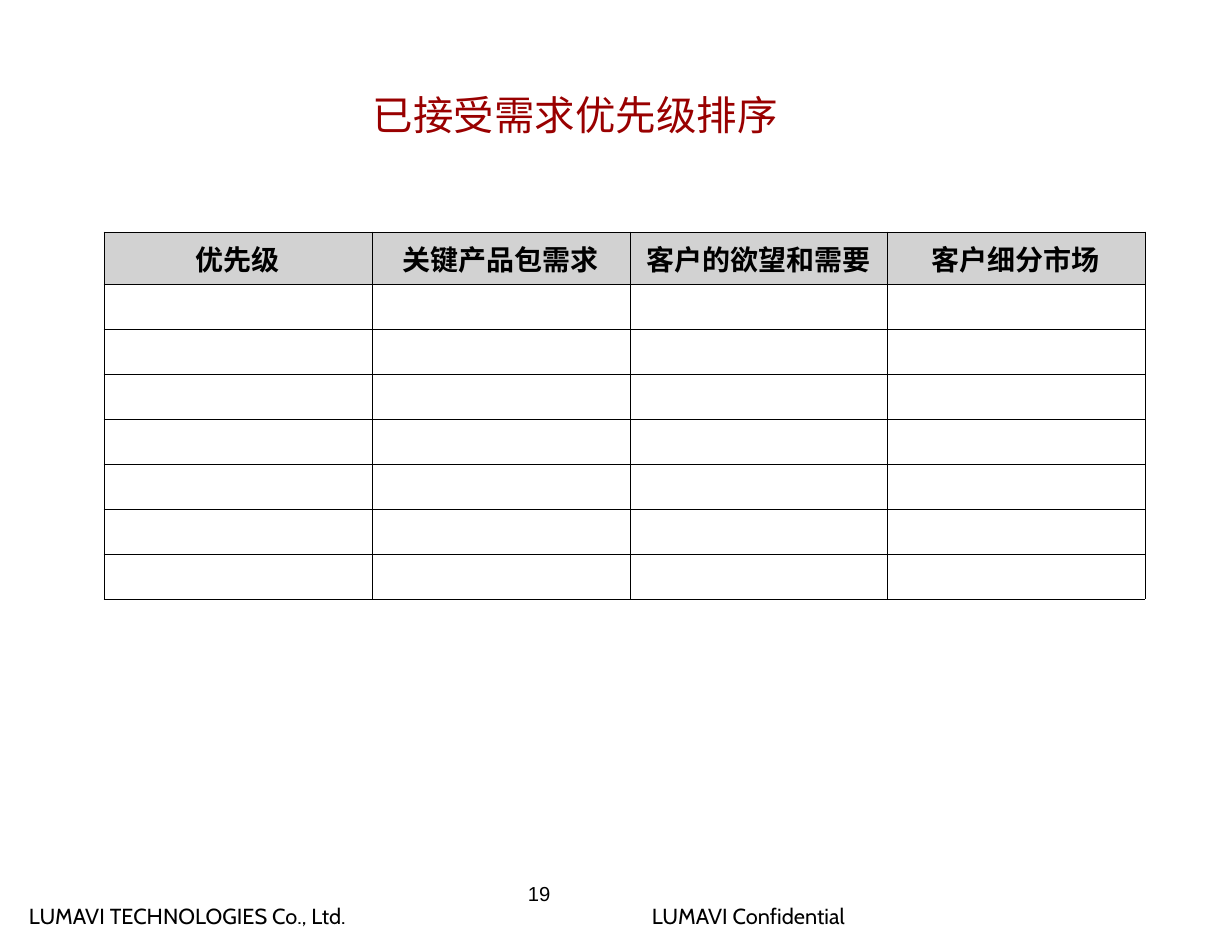
from lxml import etree
from pptx import Presentation
from pptx import util as u
from pptx.dml.color import RGBColor
from pptx.enum import text
from pptx.oxml import ns

PX = 914400 // 112
RED = RGBColor(0x99, 0x00, 0x00)
BLACK = RGBColor(0x00, 0x00, 0x00)
GREY = RGBColor(0xD2, 0xD2, 0xD2)

HEADINGS = ["优先级", "关键产品包需求", "客户的欲望和需要", "客户细分市场"]
EMPTY_ROWS = 7


def px(length):
    return u.Emu(length * PX)


def write(frame, words, size, color=BLACK, font="Arial", bold=False,
          align=text.PP_ALIGN.LEFT):
    para = frame.paragraphs[0]
    para.alignment = align
    span = para.add_run()
    span.text = words
    span.font.name = font
    span.font.size = u.Pt(size)
    span.font.bold = bold
    span.font.color.rgb = color


def add_label(page, box, words, size, inset=(0, 0), wrap=True, **style):
    frame = page.shapes.add_textbox(*map(px, box)).text_frame
    frame.word_wrap = wrap
    frame.margin_left = frame.margin_right = px(inset[0])
    frame.margin_top = frame.margin_bottom = px(inset[1])
    write(frame, words, size, **style)


def add_borders(cell):
    properties = cell._tc.get_or_add_tcPr()
    for side in ("lnL", "lnR", "lnT", "lnB"):
        line = etree.SubElement(properties, ns.qn(f"a:{side}"), w=str(u.Pt(0.45)))
        fill = etree.SubElement(line, ns.qn("a:solidFill"))
        etree.SubElement(fill, ns.qn("a:srgbClr"), val=str(BLACK))


def add_priority_table(page, left, top):
    widths = [268, 258, 257, 258]
    heights = [52] + [45] * EMPTY_ROWS
    box = (left, top, sum(widths), sum(heights))
    table = page.shapes.add_table(len(heights), len(widths), *map(px, box)).table
    table.horz_banding = False
    for column, width in zip(table.columns, widths):
        column.width = px(width)
    for row, height in zip(table.rows, heights):
        row.height = px(height)
    for cell in table.iter_cells():
        add_borders(cell)
        cell.fill.background()
        cell.vertical_anchor = text.MSO_ANCHOR.MIDDLE
        cell.margin_left = cell.margin_right = px(7)
        cell.margin_top = cell.margin_bottom = px(5)
    for cell, heading in zip(table.rows[0].cells, HEADINGS):
        cell.fill.solid()
        cell.fill.fore_color.rgb = GREY
        write(cell.text_frame, heading, 18, bold=True, align=text.PP_ALIGN.CENTER)


def add_footer(page, top):
    for left, width, words in [(18, 379, "LUMAVI TECHNOLOGIES Co., Ltd."),
                               (641, 254, "LUMAVI Confidential")]:
        add_label(page, (left, top, width, 37), words, 14,
                  inset=(11, 6), wrap=False, font="Cabin")
    # Page number
    add_label(page, (528, top - 16, 62, 36), "19", 13)


def main():
    deck = Presentation()
    deck.slide_width, deck.slide_height = px(1232), px(952)
    page = deck.slides.add_slide(deck.slide_layouts[6])
    # Title
    add_label(page, (164, 90, 823, 50), "已接受需求优先级排序", 26,
              color=RED, align=text.PP_ALIGN.CENTER)
    # Priority table
    add_priority_table(page, 104, 232)
    # Footer
    add_footer(page, 897)
    deck.save("out.pptx")


if __name__ == "__main__":
    main()
